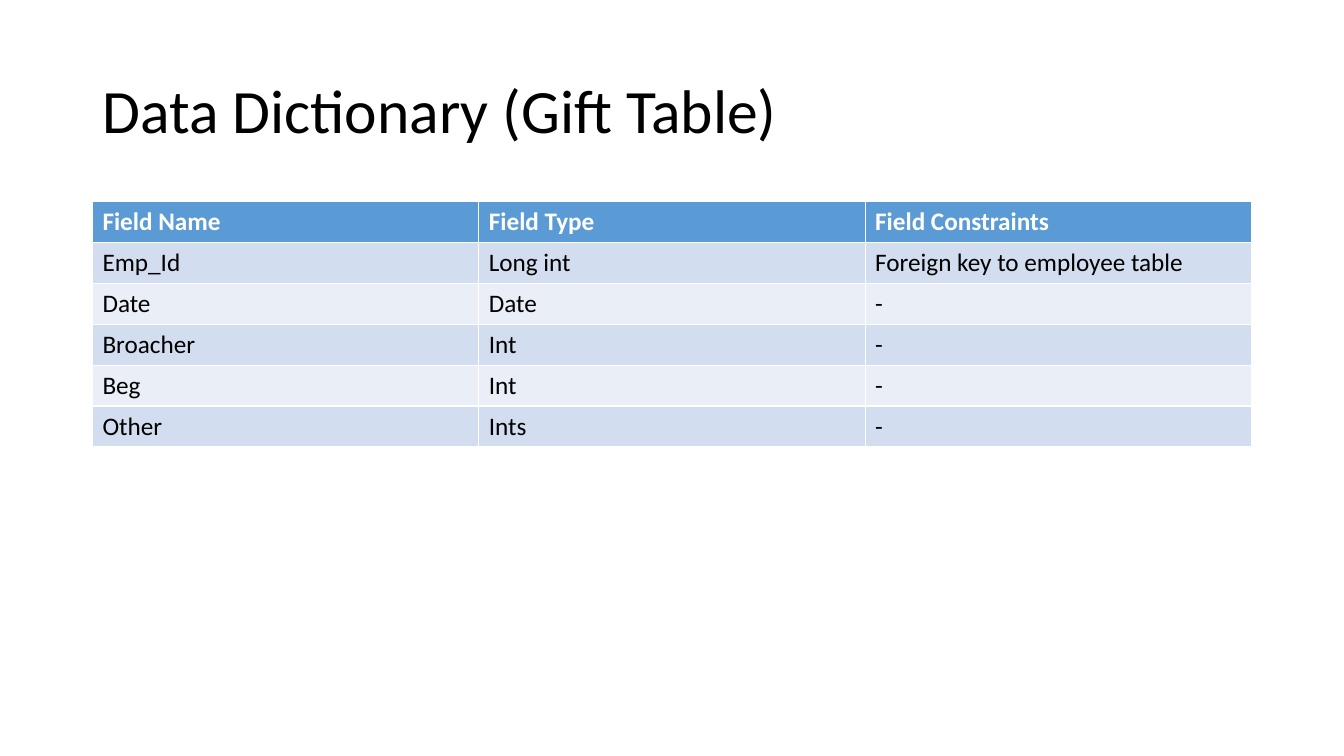
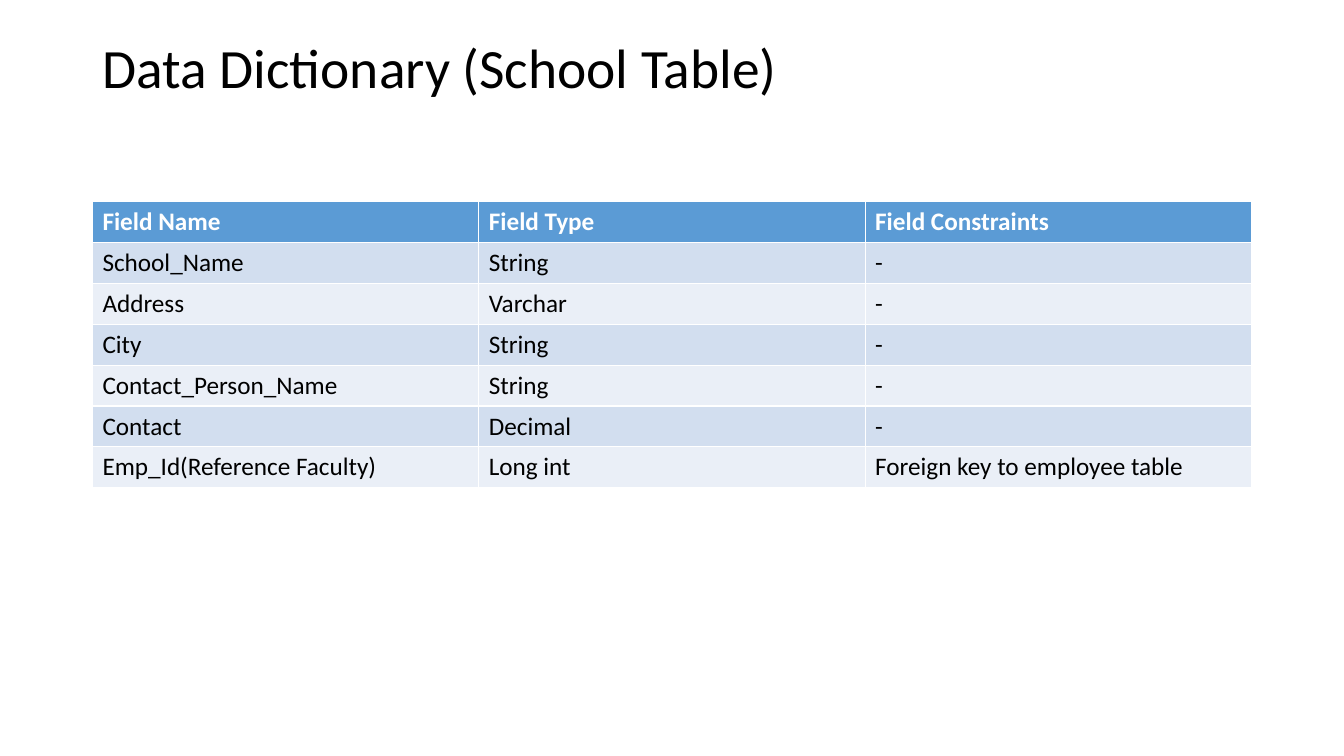
from pptx import Presentation
from pptx.dml.color import RGBColor
from pptx.enum.text import MSO_ANCHOR, PP_ALIGN
from pptx.util import Cm, Pt

MIDDLE = MSO_ANCHOR.MIDDLE
LEFT = PP_ALIGN.LEFT
FONT = "Calibri"
COLORS = {
    "text": "000000",
    "header_text": "FFFFFF",
    "header": "5B9BD5",
    "odd_row": "D2DEEF",
    "even_row": "EAEFF7",
}

# Shared layout
MARGIN = Cm(2.33)
CONTENT_WIDTH = Cm(29.21)
TITLE_TOP = Cm(1.01)
TABLE_TOP = Cm(5.08)
ROW_HEIGHT = Cm(1.03)
TITLE_ONLY = 5

HEADINGS = ("Field Name", "Field Type", "Field Constraints")
EMPLOYEE_KEY = "Foreign key to employee table"

GIFT_FIELDS = [
    ("Emp_Id", "Long int", EMPLOYEE_KEY),
    ("Date", "Date", "-"),
    ("Broacher", "Int", "-"),
    ("Beg", "Int", "-"),
    ("Other", "Ints", "-"),
]
SCHOOL_FIELDS = [
    ("School_Name", "String", "-"),
    ("Address", "Varchar", "-"),
    ("City", "String", "-"),
    ("Contact_Person_Name", "String", "-"),
    ("Contact", "Decimal", "-"),
    ("Emp_Id(Reference Faculty)", "Long int", EMPLOYEE_KEY),
]


def set_font(paragraph, size, color, bold=False):
    font = paragraph.font
    font.name = FONT
    font.size = Pt(size)
    font.bold = bold
    font.color.rgb = RGBColor.from_string(COLORS[color])


def place_title(slide, text, box, size):
    title = slide.shapes.title
    title.left, title.top, title.width, title.height = box
    frame = title.text_frame
    frame.text = text
    frame.word_wrap = True
    frame.vertical_anchor = MIDDLE
    heading = frame.paragraphs[0]
    heading.alignment = LEFT
    heading.line_spacing = 0.9
    set_font(heading, size, "text")


def place_field_table(slide, fields, box):
    rows = [HEADINGS, *fields]
    # The default table style supplies the white rules between cells
    table = slide.shapes.add_table(len(rows), len(HEADINGS), *box).table
    for row_index, row in enumerate(rows):
        is_header = row_index == 0
        band = "header" if is_header else ("odd_row" if row_index % 2 else "even_row")
        text_color = "header_text" if is_header else "text"
        for column_index, text in enumerate(row):
            cell = table.cell(row_index, column_index)
            cell.text = text
            cell.fill.solid()
            cell.fill.fore_color.rgb = RGBColor.from_string(COLORS[band])
            set_font(cell.text_frame.paragraphs[0], 18, text_color, is_header)


def add_dictionary_slide(deck, title, fields, title_height, title_size):
    slide = deck.slides.add_slide(deck.slide_layouts[TITLE_ONLY])
    place_title(slide, title, (MARGIN, TITLE_TOP, CONTENT_WIDTH, title_height), title_size)
    table_height = ROW_HEIGHT * (len(fields) + 1)
    place_field_table(slide, fields, (MARGIN, TABLE_TOP, CONTENT_WIDTH, table_height))


deck = Presentation()
deck.slide_width, deck.slide_height = Cm(33.87), Cm(19.05)
add_dictionary_slide(deck, "Data Dictionary (Gift Table)", GIFT_FIELDS, Cm(3.68), 44)
add_dictionary_slide(deck, "Data Dictionary (School Table)", SCHOOL_FIELDS, Cm(1.55), 39.6)
deck.save("out.pptx")
